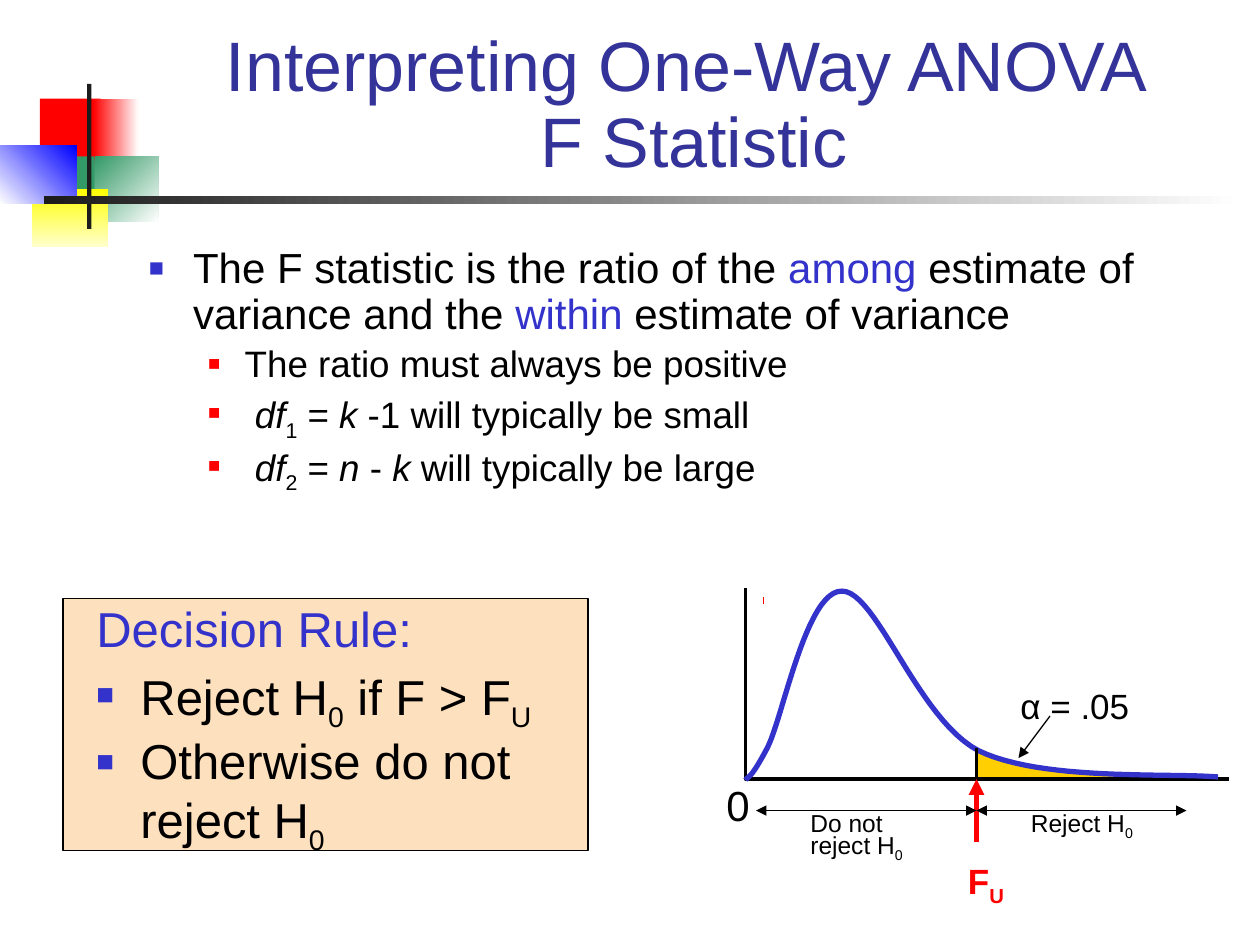
from dataclasses import dataclass

from lxml.etree import SubElement
from pptx import Presentation
from pptx.dml.color import RGBColor
from pptx.enum.shapes import MSO_CONNECTOR as Line, MSO_SHAPE as Shape
from pptx.enum.text import MSO_ANCHOR as Anchor, MSO_AUTO_SIZE as Fit, PP_ALIGN as Align
from pptx.oxml.ns import qn
from pptx.util import Inches, Pt


@dataclass(frozen=True)
class Theme:
    font: str = "Arial"
    title: str = "333399"
    accent: str = "3333CC"
    ink: str = "000000"
    red: str = "FF0000"
    green: str = "339966"
    yellow: str = "FFFF00"
    cream: str = "FFFFCC"
    blue: str = "0000FF"
    white: str = "FFFFFF"
    rule: str = "1C1C1C"
    panel: str = "FDE0BD"
    tail: str = "FFCF01"
    title_pt: int = 40
    rule_pt: int = 28
    body_pt: int = 24
    sub_pt: int = 21
    label_pt: int = 20
    note_pt: int = 14


T = Theme()
CELL = Inches(1 / 12)  # the slide is a grid of 120 columns by 90 rows
COLS, ROWS = 120, 90

# Content: a run is (text, style); styles: i italic, sub subscript, hi accent colour
TITLE = "Interpreting One-Way ANOVA \vF Statistic"
BODY = [
    (0, [("The F statistic is the ratio of the ", ""), ("among", "hi"),
         (" estimate of variance and the ", ""), ("within", "hi"),
         (" estimate of variance", "")]),
    (1, [("The ratio must always be positive", "")]),
    (1, [(" df", "i"), ("1", "sub"), (" = ", ""), ("k", "i"),
         (" -1 will typically be small", "")]),
    (1, [(" df", "i"), ("2", "sub"), (" = ", ""), ("n", "i"), (" - ", ""), ("k", "i"),
         (" will typically be large", "")]),
]
DECISION = [
    (None, [("Decision Rule:", "hi")]),
    (0, [("Reject H", ""), ("0", "sub"), (" if F > F", ""), ("U", "sub")]),
    (0, [("Otherwise do not reject H", ""), ("0", "sub")]),
]
# Level: left indent, hanging indent (inches), bullet colour, bullet size in percent
LEVELS = {None: (0.35, 0.35, None, 0), 0: (0.35, 0.35, T.accent, 60),
          1: (0.76, 0.29, T.red, 55)}

# Grid box, first colour, last colour, clockwise angle
DECOR = [
    ((3.8, 9.4, 5.8, 6.2), T.red, None, 0),
    ((8.9, 9.4, 4.3, 6.2), T.red, T.white, 0),
    ((9, 14.9, 6.1, 6.2), T.green, T.white, 45),
    ((5.2, 14.9, 3.8, 6.2), T.green, None, 0),
    ((3, 18, 7.3, 5.5), T.yellow, T.cream, 90),
    ((0, 13.9, 7.3, 5.5), T.white, T.blue, 315),
    ((8.3, 8, 0.4, 13.8), T.rule, None, 0),
    ((4.2, 18.7, 114.1, 0.72), T.rule, T.white, 0),
]

# Curve chart
BASE, CRIT, SPAN_Y = 74.2, 93, 77.2
AXES = [(71, 56), (71, BASE), (117, BASE)]
TAIL = [(CRIT, BASE), (92.9, 71.2), (94.7, 71.9), (96.1, 72.4), (97.3, 72.6), (98.8, 73),
        (101.9, 73.3), (105.2, 73.6), (113.3, 73.9), (113.3, BASE)]
CURVE_START = (71, 74.3)
CURVE = [((71.4, 73.8), (71.5, 74.2), (73.1, 71.2)),
         ((74.6, 68.2), (76.8, 56.2), (80.2, 56.3)),
         ((83.5, 56.3), (87.4, 68.5), (93.2, 71.5)),
         ((99.2, 74.4), (111.2, 73.6), (116, 74))]
# From, to, colour, width, arrowheads
LINES = [
    ((72.7, 57.2), (72.8, 57.2), T.red, 4, ()),
    ((CRIT, 71.2), (CRIT, BASE), T.ink, 1.5, ()),
    ((100, 68.2), (97, 72.2), T.ink, 0.75, ("tailEnd",)),
    ((CRIT, 80.2), (CRIT, BASE), T.red, 3, ("tailEnd",)),
    ((CRIT, SPAN_Y), (72, SPAN_Y), T.ink, 0.75, ("headEnd", "tailEnd")),
    ((113, SPAN_Y), (CRIT, SPAN_Y), T.ink, 0.75, ("headEnd", "tailEnd")),
]
# Grid box, paragraphs of runs, size, colour, bold, top inset
LABELS = [
    ((68, 71.2, 6, 6), [[("0", "")]], T.body_pt, T.ink, False, 0.25),
    ((96, 64.2, 14, 5.5), [[("α = .05", "")]], T.label_pt, T.ink, False, 0.08),
    ((97, 76.2, 13, 4), [[("Reject H", ""), ("0", "sub")]], T.note_pt, T.ink, False, 0.06),
    ((76, 76.2, 12, 5.9), [[("Do not", "")], [("reject H", ""), ("0", "sub")]],
     T.note_pt, T.ink, False, 0.06),
    ((91, 81, 8, 5.2), [[("F", ""), ("U", "sub")]], T.label_pt, T.red, True, 0.07),
]


def rgb(value):
    return RGBColor.from_string(value)


def grid(values):
    return [round(v * CELL) for v in values]


def set_all(target, values):
    for name, value in values.items():
        setattr(target, name, value)


def add_runs(p, runs, size, color, bold=False):
    for text, style in runs:
        r = p.add_run()
        r.text = text
        set_all(r.font, dict(name=T.font, size=Pt(size), bold=bold, italic=style == "i"))
        r.font.color.rgb = rgb(T.accent if style == "hi" else color)
        if style == "sub":
            r._r.get_or_add_rPr().set("baseline", "-25000")


def add_frame(s, box, top=0.05):
    tf = s.shapes.add_textbox(*grid(box)).text_frame
    set_all(tf, dict(word_wrap=True, margin_top=Inches(top)))
    return tf


def paragraphs(tf, items):
    """Pair each item with a paragraph, using the frame's own one first."""
    for n, item in enumerate(items):
        yield n, tf.add_paragraph() if n else tf.paragraphs[0], item


def set_level(p, level):
    left, hang, color, percent = LEVELS[level]
    pPr = p._p.get_or_add_pPr()
    pPr.set("marL", str(Inches(left)))
    pPr.set("indent", str(-Inches(hang)))
    if color:
        SubElement(SubElement(pPr, qn("a:buClr")), qn("a:srgbClr"), val=color)
        SubElement(pPr, qn("a:buSzPct"), val=str(percent * 1000))
        SubElement(pPr, qn("a:buFont"), typeface=T.font)
        SubElement(pPr, qn("a:buChar"), char="■")


def add_list(s, box, items, sizes):
    for n, p, (level, runs) in paragraphs(add_frame(s, box), items):
        size = sizes[level or 0]
        set_level(p, level)
        set_all(p, dict(line_spacing=0.9, space_before=Pt(0.2 * size if n else 0)))
        add_runs(p, runs, size, T.ink)


def paint(sp, fill=None, end=None, angle=0, line=None, width=0.75):
    sp.shadow.inherit = False
    if end:
        sp.fill.gradient()
        sp.fill.gradient_angle = (360 - angle) % 360
        for stop, color in zip(sp.fill.gradient_stops, (fill, end)):
            stop.color.rgb = rgb(color)
    elif fill:
        sp.fill.solid()
        sp.fill.fore_color.rgb = rgb(fill)
    else:
        sp.fill.background()
    if line:
        sp.line.color.rgb = rgb(line)
        sp.line.width = Pt(width)
    else:
        sp.line.fill.background()


def add_path(s, points, close=False, **look):
    start, *rest = [grid(pt) for pt in points]
    builder = s.shapes.build_freeform(*start)
    builder.add_line_segments(rest, close=close)
    paint(builder.convert_to_shape(), **look)


def bezier_points(start, segments, steps=24):
    points = [start]
    for a, b, c in segments:
        o = points[-1]
        for t in (k / steps for k in range(1, steps + 1)):
            u = 1 - t
            points.append(tuple(u**3 * o[i] + 3 * u * u * t * a[i] + 3 * u * t * t * b[i]
                                + t**3 * c[i] for i in (0, 1)))
    return points


def add_line(s, start, end, color, width, heads):
    c = s.shapes.add_connector(Line.STRAIGHT, *grid(start + end))
    c.line.color.rgb = rgb(color)
    c.line.width = Pt(width)
    for head in heads:
        SubElement(c.line._get_or_add_ln(), qn(f"a:{head}"), type="triangle")
    SubElement(c._element.spPr, qn("a:effectLst"))


def add_title(s):
    sp = s.shapes.title
    set_all(sp, dict(zip(("left", "top", "width", "height"), grid((15, 3, 102.2, 15)))))
    tf = sp.text_frame
    set_all(tf, dict(text=TITLE, vertical_anchor=Anchor.BOTTOM, auto_size=Fit.NONE))
    p = tf.paragraphs[0]
    set_all(p, dict(alignment=Align.CENTER, line_spacing=0.9))
    for r in p.runs:
        set_all(r.font, dict(name=T.font, size=Pt(T.title_pt)))
        r.font.color.rgb = rgb(T.title)


def main():
    prs = Presentation()
    prs.slide_width, prs.slide_height = grid((COLS, ROWS))
    s = prs.slides.add_slide(prs.slide_layouts[5])
    for box, fill, end, angle in DECOR:
        paint(s.shapes.add_shape(Shape.RECTANGLE, *grid(box)), fill, end, angle)
    paint(s.shapes.add_shape(Shape.RECTANGLE, *grid((6, 57, 50, 24))), T.panel, line=T.ink)
    add_title(s)
    add_list(s, (13, 23, 98, 23.6), BODY, (T.body_pt, T.sub_pt))
    add_list(s, (8, 57, 48, 23.5), DECISION, (T.rule_pt,))
    add_path(s, TAIL, close=True, fill=T.tail)
    add_path(s, AXES, line=T.ink, width=2)
    add_path(s, bezier_points(CURVE_START, CURVE), line=T.accent, width=3)
    for line in LINES:
        add_line(s, *line)
    for box, items, size, color, bold, top in LABELS:
        for n, p, runs in paragraphs(add_frame(s, box, top), items):
            if n:
                set_all(p, dict(line_spacing=0.2, space_before=Pt(size / 2)))
            add_runs(p, runs, size, color, bold)
    prs.save("out.pptx")


if __name__ == "__main__":
    main()
